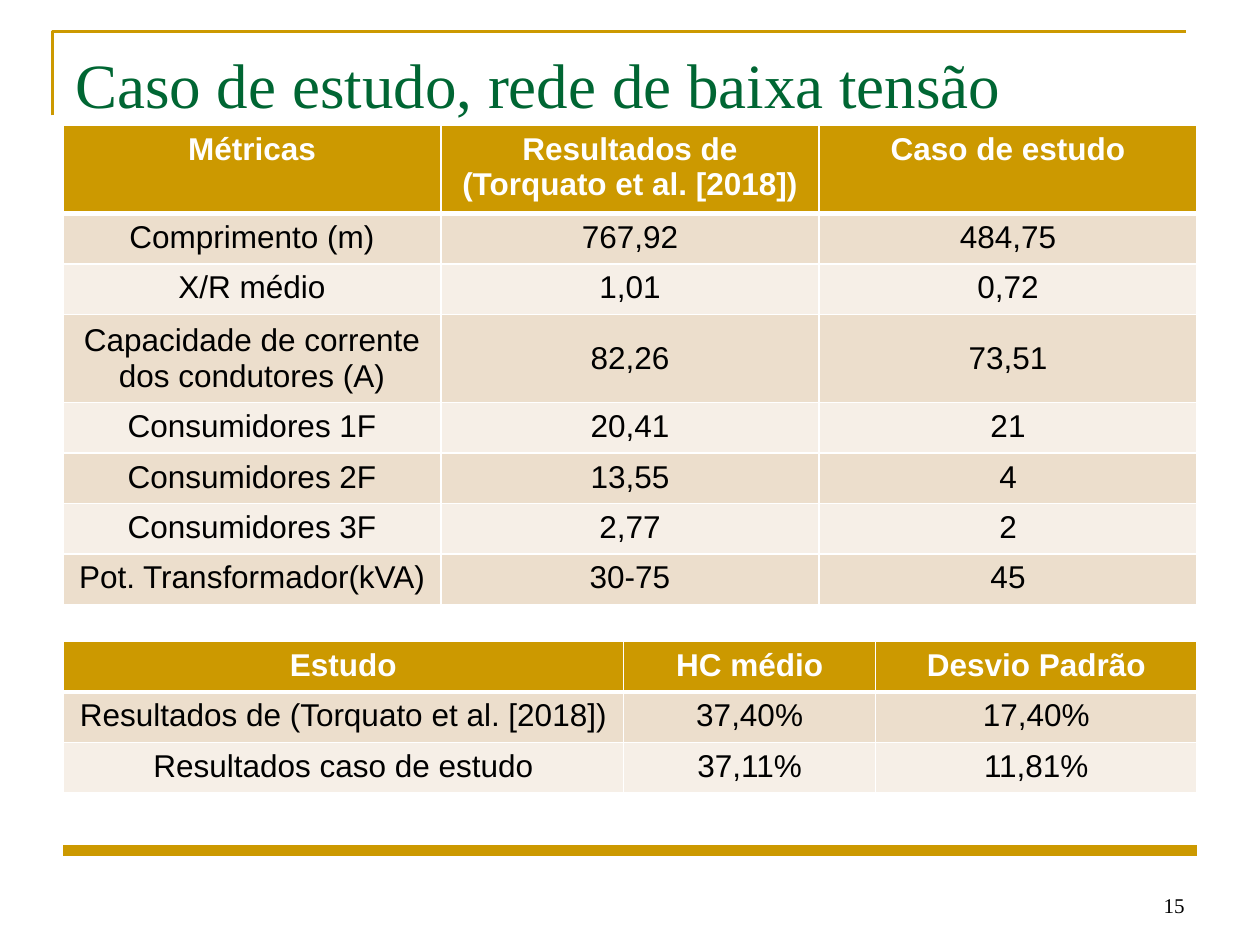
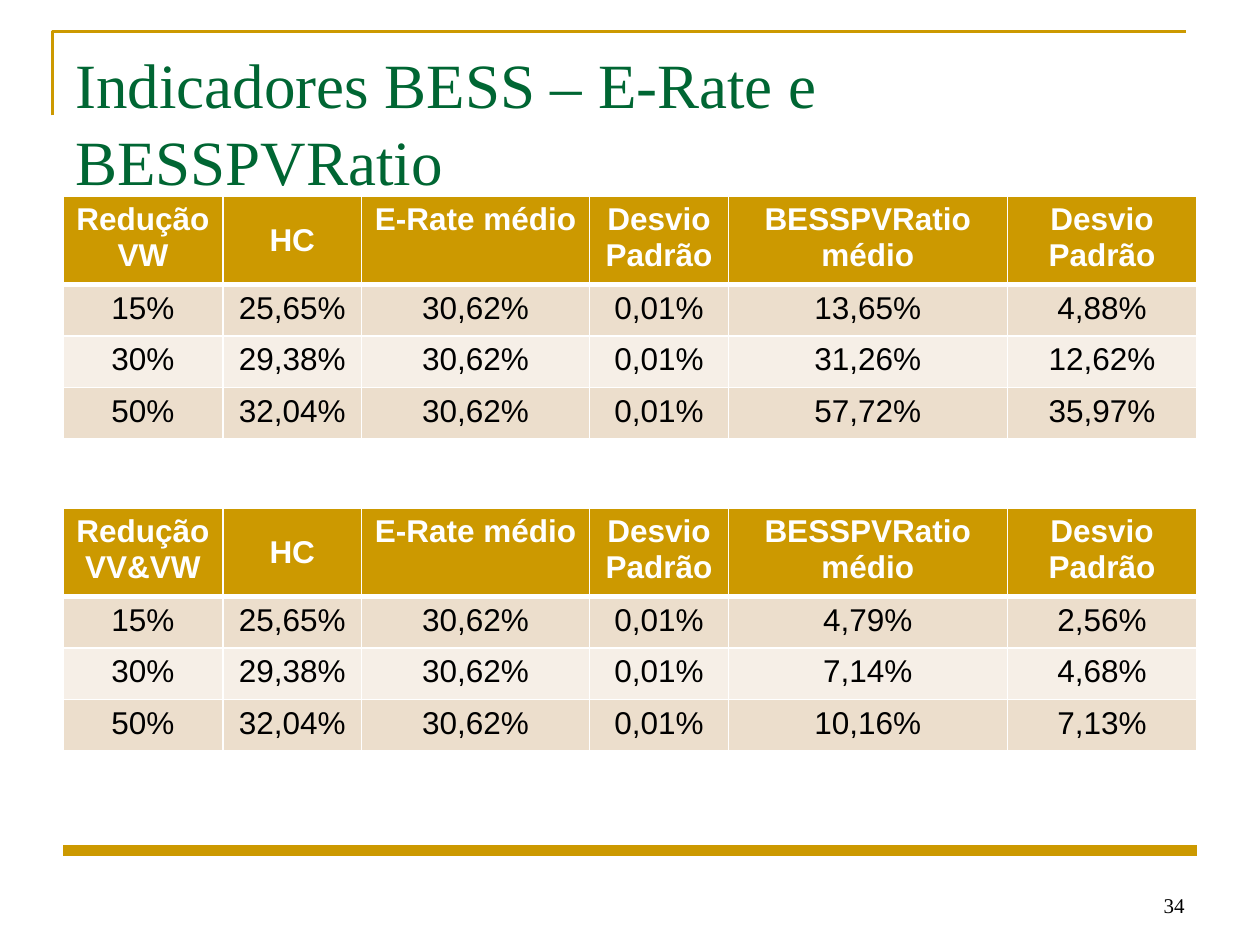
from dataclasses import dataclass

from lxml.etree import SubElement
from pptx import Presentation
from pptx.dml.color import RGBColor
from pptx.enum.shapes import MSO_CONNECTOR
from pptx.enum.text import MSO_ANCHOR, PP_ALIGN
from pptx.oxml import parse_xml
from pptx.oxml.ns import nsdecls, qn
from pptx.slide import Slide
from pptx.table import _Cell
from pptx.text.text import TextFrame
from pptx.util import Pt

GOLD = RGBColor(0xCC, 0x99, 0x00)
GREEN = RGBColor(0x00, 0x66, 0x33)
SAND = RGBColor(0xEC, 0xDE, 0xCC)
CREAM = RGBColor(0xF6, 0xEF, 0xE7)
WHITE = RGBColor(0xFF, 0xFF, 0xFF)
BLACK = RGBColor(0x00, 0x00, 0x00)

SERIF = "Times New Roman"
SANS = "Arial"

LEFT = 36
WIDTH = 648
TALL_ROW = 47
SHORT_ROW = 27.3
RATE_ROW = 29.5
RATE_COLUMNS = (91.4, 79.2, 130.4, 79.2, 159.4, 108.4)


@dataclass(frozen=True)
class TextStyle:
    """Font and alignment of a piece of text."""

    font: str
    size: float
    color: RGBColor
    bold: bool = False
    alignment: PP_ALIGN = PP_ALIGN.LEFT


@dataclass(frozen=True)
class TableContent:
    """Rows of text with the place and grid of their table."""

    top: float
    columns: tuple[float, ...]
    heights: tuple[float, ...]
    rows: tuple[tuple[str, ...], ...]
    middle_cells: frozenset[tuple[int, int]] = frozenset()


@dataclass(frozen=True)
class SlideContent:
    """Title, number and tables of one slide."""

    title: str
    number: str
    tables: tuple[TableContent, ...]


TITLE = TextStyle(SERIF, 36, GREEN)
NUMBER = TextStyle(SERIF, 12, BLACK, alignment=PP_ALIGN.RIGHT)
HEADER = TextStyle(SANS, 18, WHITE, True, PP_ALIGN.CENTER)
BODY = TextStyle(SANS, 18, BLACK, alignment=PP_ALIGN.CENTER)


def rate_table(top: float, control: str, *ratios: tuple[str, str]) -> TableContent:
    """Describe the storage indicators of one control strategy."""
    header = (f"Redução\n{control}", "HC", "E-Rate médio", "Desvio\nPadrão",
              "BESSPVRatio\nmédio", "Desvio\nPadrão")
    hosting = (("15%", "25,65%"), ("30%", "29,38%"), ("50%", "32,04%"))
    rows = tuple((*capacity, "30,62%", "0,01%", *ratio)
                 for capacity, ratio in zip(hosting, ratios))
    return TableContent(top, RATE_COLUMNS, (TALL_ROW,) + (RATE_ROW,) * len(rows),
                        (header, *rows), frozenset({(0, 1)}))


SLIDES = (
    SlideContent("Caso de estudo, rede de baixa tensão", "15", (
        TableContent(
            71.6, (216,) * 3,
            (TALL_ROW, SHORT_ROW, SHORT_ROW, TALL_ROW) + (SHORT_ROW,) * 4,
            (
                ("Métricas", "Resultados de\n(Torquato et al. [2018])", "Caso de estudo"),
                ("Comprimento (m)", "767,92", "484,75"),
                ("X/R médio", "1,01", "0,72"),
                ("Capacidade de corrente dos condutores (A)", "82,26", "73,51"),
                ("Consumidores 1F", "20,41", "21"),
                ("Consumidores 2F", "13,55", "4"),
                ("Consumidores 3F", "2,77", "2"),
                ("Pot. Transformador(kVA)", "30-75", "45"),
            ),
            frozenset((3, column) for column in range(3))),
        TableContent(
            366.6, (320.4, 144, 183.6), (SHORT_ROW,) * 3,
            (
                ("Estudo", "HC médio", "Desvio Padrão"),
                ("Resultados de (Torquato et al. [2018])", "37,40%", "17,40%"),
                ("Resultados caso de estudo", "37,11%", "11,81%"),
            )),
    )),
    SlideContent("Indicadores BESS – E-Rate e BESSPVRatio", "34", (
        rate_table(112, "VW", ("13,65%", "4,88%"), ("31,26%", "12,62%"),
                   ("57,72%", "35,97%")),
        rate_table(290.3, "VV&VW", ("4,79%", "2,56%"), ("7,14%", "4,68%"),
                   ("10,16%", "7,13%")),
    )),
)


def write_text(text_frame: TextFrame, text: str, style: TextStyle) -> None:
    """Write one paragraph, with a line break at each newline."""
    paragraph = text_frame.paragraphs[0]
    paragraph.alignment = style.alignment
    for index, line in enumerate(text.split("\n")):
        if index:
            paragraph.add_line_break()
        run = paragraph.add_run()
        run.text = line
        run.font.name = style.font
        run.font.size = Pt(style.size)
        run.font.bold = style.bold
        run.font.color.rgb = style.color


def add_text(slide: Slide, left: float, top: float, width: float, height: float,
             text: str, style: TextStyle, anchor: MSO_ANCHOR) -> TextFrame:
    """Add a wrapping text box."""
    text_box = slide.shapes.add_textbox(Pt(left), Pt(top), Pt(width), Pt(height))
    text_frame = text_box.text_frame
    text_frame.word_wrap = True
    text_frame.vertical_anchor = anchor
    write_text(text_frame, text, style)
    return text_frame


def add_frame(slide: Slide) -> None:
    """Draw the corner line at the top and the band at the bottom."""
    builder = slide.shapes.build_freeform(Pt(30), Pt(66))
    builder.add_line_segments([(Pt(30), Pt(18)), (Pt(678), Pt(18))], close=False)
    corner = builder.convert_to_shape()
    corner.shadow.inherit = False
    corner.fill.background()
    corner.line.color.rgb = GOLD
    corner.line.width = Pt(1.5)

    band = slide.shapes.add_connector(
        MSO_CONNECTOR.STRAIGHT, Pt(LEFT), Pt(486), Pt(LEFT + WIDTH), Pt(486))
    band.line.color.rgb = GOLD
    band.line.width = Pt(6)
    SubElement(band._element.spPr, qn("a:effectLst"))


def set_borders(cell: _Cell, top: float, bottom: float) -> None:
    """Give a cell white borders, thin at the sides."""
    properties = cell._tc.get_or_add_tcPr()
    widths = {"lnL": 1, "lnR": 1, "lnT": top, "lnB": bottom}
    for index, (side, width) in enumerate(widths.items()):
        properties.insert(index, parse_xml(
            f'<a:{side} {nsdecls("a")} w="{Pt(width)}"><a:solidFill>'
            f'<a:srgbClr val="{WHITE}"/></a:solidFill></a:{side}>'))


def add_content_table(slide: Slide, content: TableContent) -> None:
    """Draw a table with a gold header and banded rows."""
    table = slide.shapes.add_table(
        len(content.rows), len(content.columns), Pt(LEFT), Pt(content.top),
        Pt(WIDTH), Pt(sum(content.heights))).table
    table.horz_banding = False
    for column, width in zip(table.columns, content.columns):
        column.width = Pt(width)
    for row_index, texts in enumerate(content.rows):
        table.rows[row_index].height = Pt(content.heights[row_index])
        is_header = row_index == 0
        band = SAND if row_index % 2 else CREAM
        for column_index, text in enumerate(texts):
            cell = table.cell(row_index, column_index)
            cell.fill.solid()
            cell.fill.fore_color.rgb = GOLD if is_header else band
            is_middle = (row_index, column_index) in content.middle_cells
            cell.vertical_anchor = MSO_ANCHOR.MIDDLE if is_middle else MSO_ANCHOR.TOP
            set_borders(cell, 3 if row_index == 1 else 1, 3 if is_header else 1)
            write_text(cell.text_frame, text, HEADER if is_header else BODY)


def main() -> None:
    """Build and save the presentation."""
    presentation = Presentation()
    presentation.slide_width = Pt(720)
    presentation.slide_height = Pt(540)
    for content in SLIDES:
        slide = presentation.slides.add_slide(presentation.slide_layouts[6])
        add_frame(slide)
        title = add_text(slide, LEFT, 21.6, WIDTH, 49.7, content.title, TITLE,
                         MSO_ANCHOR.TOP)
        title.paragraphs[0].line_spacing = Pt(44)
        add_text(slide, 516, 492, 168, 36, content.number, NUMBER, MSO_ANCHOR.BOTTOM)
        for table in content.tables:
            add_content_table(slide, table)
    presentation.save("out.pptx")


if __name__ == "__main__":
    main()
